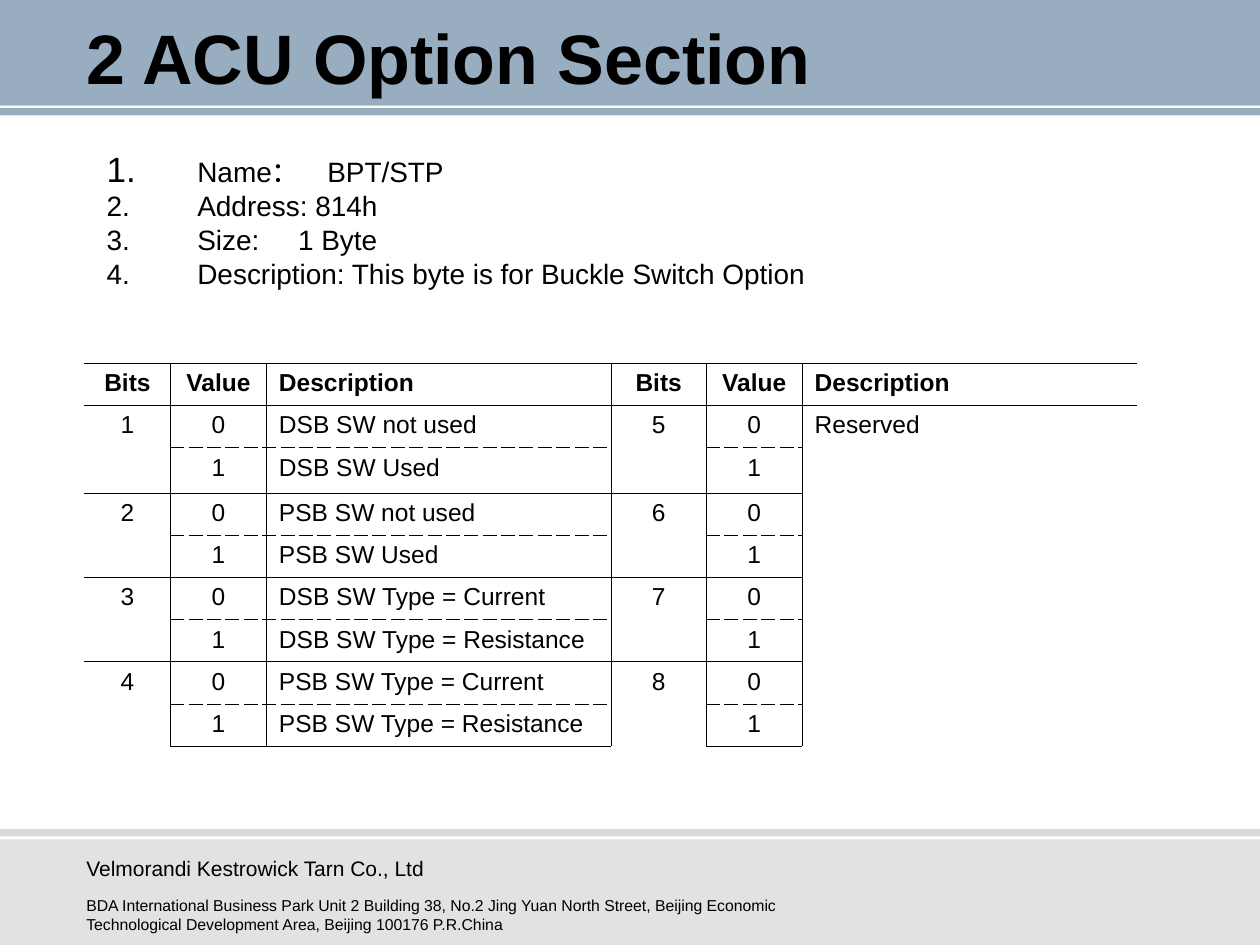
from lxml import etree
from pptx import Presentation
from pptx.dml.color import RGBColor
from pptx.enum import shapes, text
from pptx.oxml.ns import qn
from pptx.util import Cm, Pt

FONT = "Arial"
COLORS = {"ink": "000000", "navy": "003366", "gray": "C0C0C0"}

TITLE = "2 ACU Option Section"
# top, height (cm), colour, opacity in percent
BANDS = [
    (0, 2.13, "navy", 40),
    (2.18, 0.15, "navy", 40),
    (16.71, 0.15, "gray", 60),
    (16.92, 2.13, "gray", 46),
]
# top, height (cm), size, text
FOOTER = [
    (17.12, 0.79, 12, "Velmorandi Kestrowick Tarn Co., Ltd"),
    (17.93, 1.12, 9, "BDA International Business Park Unit 2 Building 38, No.2 Jing Yuan "
     "North Street, Beijing Economic Technological Development Area, Beijing 100176 P.R.China"),
]
# text, tab stop (cm)
FACTS = [
    ("Name：\tBPT/STP", 4.45),
    ("Address: 814h", None),
    ("Size:\t1 Byte", 3.86),
    ("Description: This byte is for Buckle Switch Option", None),
]
HEADERS = ["Bits", "Value", "Description"] * 2
OPTIONS = [
    ("DSB SW not used", "DSB SW Used"),
    ("PSB SW not used", "PSB SW Used"),
    ("DSB SW Type = Current", "DSB SW Type = Resistance"),
    ("PSB SW Type = Current", "PSB SW Type = Resistance"),
]
COL_WIDTHS = [1.74, 1.93, 6.95, 1.92, 1.93, 6.76]
ROW_HEIGHT, TALL_ROW, TALL_HEIGHT = 0.85, 2, 0.92
SPLIT_COLS = (1, 2, 4)


def rgb(name):
    return RGBColor.from_string(COLORS[name])


def add(parent, tag, **attrs):
    return etree.SubElement(parent, qn(tag), attrs)


def style(p, size, bold=False):
    for r in p.runs:
        r.font.size, r.font.name, r.font.bold = Pt(size), FONT, bold
        r.font.color.rgb = rgb("ink")


def add_band(s, top, height, color, opacity):
    sp = s.shapes.add_shape(shapes.MSO_SHAPE.RECTANGLE, 0, Cm(top), Cm(25.4), Cm(height))
    sp.shadow.inherit = False
    sp.line.fill.background()
    sp.fill.solid()
    sp.fill.fore_color.rgb = rgb(color)
    clr = sp.fill._xPr.find(".//" + qn("a:srgbClr"))
    add(clr, "a:alpha", val=str(opacity * 1000))


def add_text(s, left, top, width, height, content):
    tf = s.shapes.add_textbox(Cm(left), Cm(top), Cm(width), Cm(height)).text_frame
    tf.word_wrap = True
    tf.text = content
    return tf


def number(p, tab, size_pct):
    """Make p a numbered item with a hanging indent and an optional tab stop."""
    pPr = p._p.get_or_add_pPr()
    pPr.set("marL", str(Cm(1.83)))
    pPr.set("indent", str(-Cm(1.83)))
    add(pPr, "a:buSzPct", val=str(size_pct * 1000))
    add(pPr, "a:buFont", typeface=FONT)
    add(pPr, "a:buAutoNum", type="arabicPeriod")
    if tab:
        add(add(pPr, "a:tabLst"), "a:tab", pos=str(Cm(tab)), algn="l")


def set_borders(cell, **edges):
    """Draw the edges L, R, T, B as 'solid', 'dash' or None."""
    tcPr = cell._tc.get_or_add_tcPr()
    for i, edge in enumerate("LRTB"):
        ln = etree.Element(qn("a:ln" + edge), w=str(Pt(0.45)))
        if edges[edge]:
            add(add(ln, "a:solidFill"), "a:srgbClr", val=COLORS["ink"])
            add(ln, "a:prstDash", val=edges[edge])
        else:
            add(ln, "a:noFill")
        tcPr.insert(i, ln)


def table_rows():
    rows = [HEADERS]
    for i, pair in enumerate(OPTIONS):
        for value, meaning in enumerate(pair):
            first = value == 0
            rows.append([str(i + 1) if first else "", str(value), meaning,
                         str(i + 5) if first else "", str(value),
                         "Reserved" if first and i == 0 else ""])
    return rows


def add_option_table(s):
    rows = table_rows()
    last_row, last_col = len(rows) - 1, len(HEADERS) - 1
    table = s.shapes.add_table(len(rows), len(HEADERS), Cm(1.7), Cm(7.32),
                               Cm(sum(COL_WIDTHS)), Cm(7.7)).table
    table.first_row = table.horz_banding = False
    for col, width in zip(table.columns, COL_WIDTHS):
        col.width = Cm(width)
    for r, row in enumerate(rows):
        table.rows[r].height = Cm(TALL_HEIGHT if r == TALL_ROW else ROW_HEIGHT)
        for c, content in enumerate(row):
            cell = table.cell(r, c)
            cell.fill.background()
            split = "dash" if c in SPLIT_COLS else None
            top = split if r and r % 2 == 0 else "solid"
            bottom = split if r % 2 else "solid"
            if c == last_col:
                top = "solid" if r < 2 else None
                bottom = "solid" if r in (0, last_row) else None
            set_borders(cell, L="solid" if c else None,
                        R="solid" if c < last_col else None, T=top, B=bottom)
            if content:
                cell.text = content
                p = cell.text_frame.paragraphs[0]
                if c % 3 < 2:
                    p.alignment = text.PP_ALIGN.CENTER
                style(p, 14, bold=r == 0)
    for r in range(1, last_row, 2):
        for c in (0, 3):
            table.cell(r, c).merge(table.cell(r + 1, c))
    table.cell(1, last_col).merge(table.cell(last_row, last_col))


def main():
    prs = Presentation()
    prs.slide_width, prs.slide_height = Cm(25.4), Cm(19.05)
    s = prs.slides.add_slide(prs.slide_layouts[5])

    for band in BANDS:
        add_band(s, *band)

    title = s.shapes.title
    title.left, title.top, title.width, title.height = Cm(1.49), Cm(0.33), Cm(22.4), Cm(1.6)
    tf = title.text_frame
    tf.text = TITLE
    tf.vertical_anchor = text.MSO_ANCHOR.MIDDLE
    tf.paragraphs[0].alignment = text.PP_ALIGN.LEFT
    style(tf.paragraphs[0], 40, bold=True)
    s.shapes._spTree.append(title._element)  # in front of the bands

    for top, height, size, content in FOOTER:
        tf = add_text(s, 1.49, top, 16.2, height, content)
        style(tf.paragraphs[0], size)

    add_option_table(s)

    tf = add_text(s, 1.9, 3.12, 21.44, 3, "\n".join(fact for fact, _ in FACTS))
    for i, (p, (_, tab)) in enumerate(zip(tf.paragraphs, FACTS)):
        number(p, tab, 100 if i else 125)
        p.line_spacing = 0.8
        p.space_before = Pt(4 if i else 0)
        style(p, 16)

    prs.save("out.pptx")


if __name__ == "__main__":
    main()
